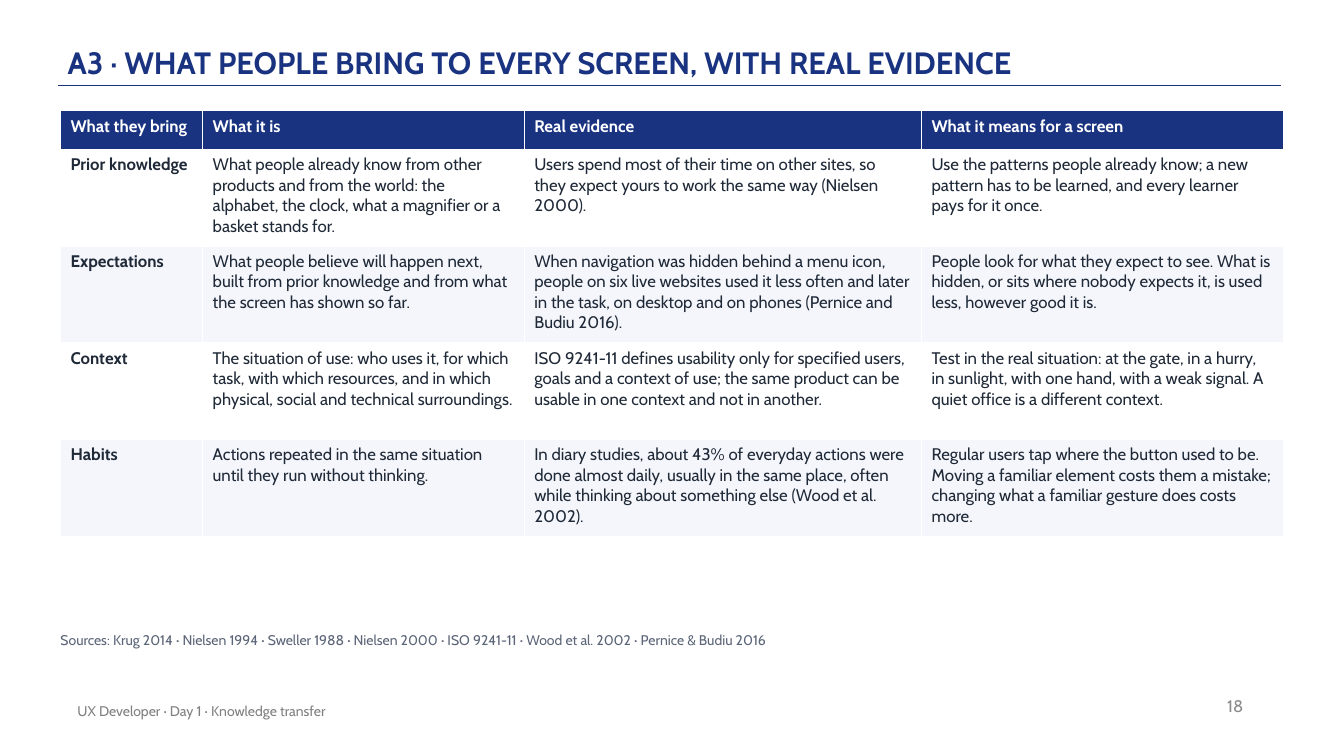
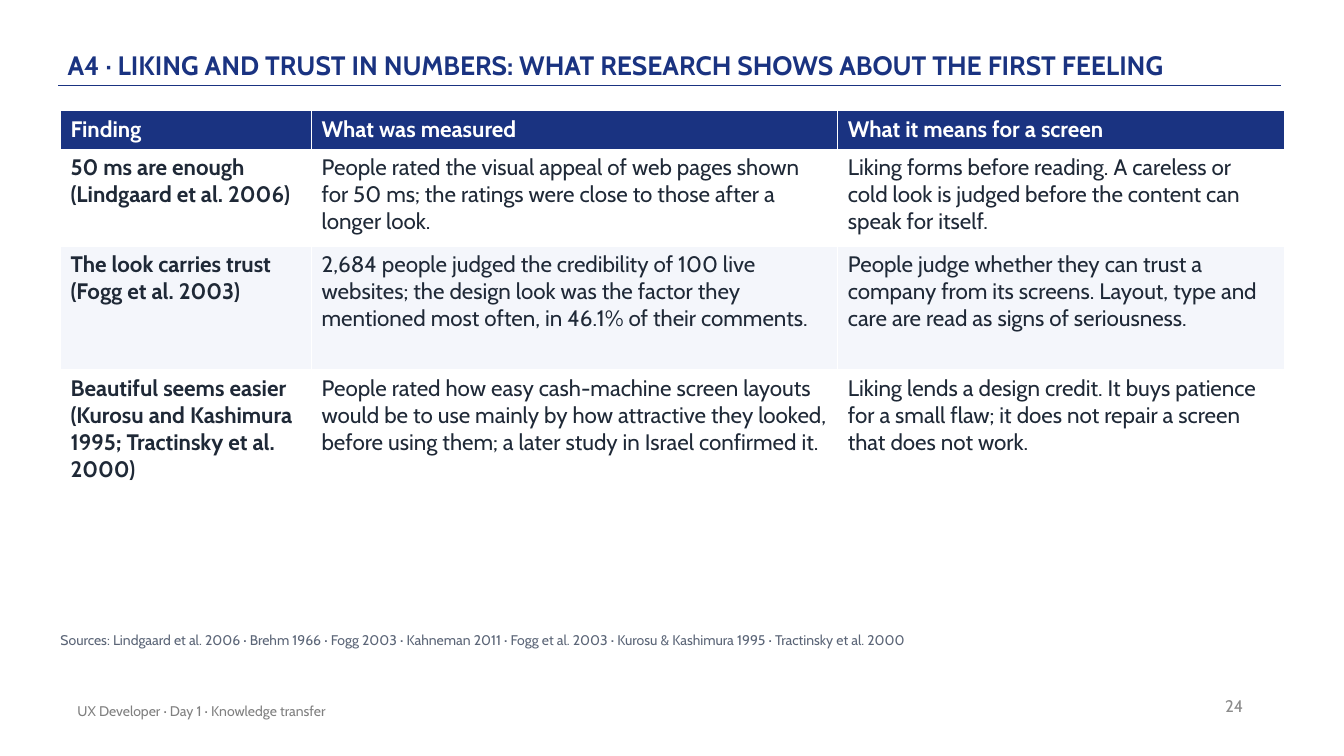
from dataclasses import dataclass

from lxml import etree
from pptx import Presentation
from pptx import util as u
from pptx.dml.color import RGBColor
from pptx.enum import shapes, text
from pptx.oxml import ns

# Shared look
FONT = "Cabin"
HUES = {
    "navy": "1A3381", "ink": "1F2937", "slate": "5B6577", "foot": "808080",
    "page": "8C8C8C", "band": "F4F6FB", "white": "FFFFFF",
}
FOOT = "UX Developer · Day 1 · Knowledge transfer"

# Grid: ten columns and ten rows to the inch
UNIT = u.Inches(0.1)
WIDE, HIGH = 133.3, 75


@dataclass(frozen=True)
class Box:
    left: float
    top: float
    width: float
    height: float

    def emu(self) -> list[int]:
        return [grid(n) for n in (self.left, self.top, self.width, self.height)]


@dataclass(frozen=True)
class Page:
    title: str
    size: int           # title size in points
    num: int
    cell: int           # table text size in points
    cols: list[float]
    rows: list[float]
    data: list[list[str]]
    refs: str


TITLE = Box(6.7, 1.2, 110, 7.2)
NUM = Box(94.3, 68, 30, 4)
FOOTER = Box(6.7, 68.5, 67, 4)
REFS = Box(6, 62.7, 121, 3)
TABLE = (6, 11)
RULE = (5.8, 127.1, 8.5)

PAGES = [
    Page(
        "A3 · WHAT PEOPLE BRING TO EVERY SCREEN, WITH REAL EVIDENCE", 22, 18,
        12, [14.1, 31.9, 39.4, 35.9], [3.8] + [9.6] * 4,
        [
            ["What they bring", "What it is", "Real evidence",
             "What it means for a screen"],
            ["Prior knowledge",
             "What people already know from other products and from the world: "
             "the alphabet, the clock, what a magnifier or a basket stands for.",
             "Users spend most of their time on other sites, so they expect "
             "yours to work the same way (Nielsen 2000).",
             "Use the patterns people already know; a new pattern has to be "
             "learned, and every learner pays for it once."],
            ["Expectations",
             "What people believe will happen next, built from prior knowledge "
             "and from what the screen has shown so far.",
             "When navigation was hidden behind a menu icon, people on six live "
             "websites used it less often and later in the task, on desktop and "
             "on phones (Pernice and Budiu 2016).",
             "People look for what they expect to see. What is hidden, or sits "
             "where nobody expects it, is used less, however good it is."],
            ["Context",
             "The situation of use: who uses it, for which task, with which "
             "resources, and in which physical, social and technical "
             "surroundings.",
             "ISO 9241-11 defines usability only for specified users, goals and "
             "a context of use; the same product can be usable in one context "
             "and not in another.",
             "Test in the real situation: at the gate, in a hurry, in sunlight, "
             "with one hand, with a weak signal. A quiet office is a different "
             "context."],
            ["Habits",
             "Actions repeated in the same situation until they run without "
             "thinking.",
             "In diary studies, about 43% of everyday actions were done almost "
             "daily, usually in the same place, often while thinking about "
             "something else (Wood et al. 2002).",
             "Regular users tap where the button used to be. Moving a familiar "
             "element costs them a mistake; changing what a familiar gesture "
             "does costs more."],
        ],
        "Sources: Krug 2014 · Nielsen 1994 · Sweller 1988 · Nielsen 2000 · "
        "ISO 9241-11 · Wood et al. 2002 · Pernice & Budiu 2016",
    ),
    Page(
        "A4 · LIKING AND TRUST IN NUMBERS: WHAT RESEARCH SHOWS ABOUT THE FIRST "
        "FEELING", 19, 24,
        16, [24.9, 52.2, 44.3], [3.8, 9.6, 12.3, 12.3],
        [
            ["Finding", "What was measured", "What it means for a screen"],
            ["50 ms are enough (Lindgaard et al. 2006)",
             "People rated the visual appeal of web pages shown for 50 ms; the "
             "ratings were close to those after a longer look.",
             "Liking forms before reading. A careless or cold look is judged "
             "before the content can speak for itself."],
            ["The look carries trust (Fogg et al. 2003)",
             "2,684 people judged the credibility of 100 live websites; the "
             "design look was the factor they mentioned most often, in 46.1% of "
             "their comments.",
             "People judge whether they can trust a company from its screens. "
             "Layout, type and care are read as signs of seriousness."],
            ["Beautiful seems easier (Kurosu and Kashimura 1995; Tractinsky et "
             "al. 2000)",
             "People rated how easy cash-machine screen layouts would be to use "
             "mainly by how attractive they looked, before using them; a later "
             "study in Israel confirmed it.",
             "Liking lends a design credit. It buys patience for a small flaw; "
             "it does not repair a screen that does not work."],
        ],
        "Sources: Lindgaard et al. 2006 · Brehm 1966 · Fogg 2003 · Kahneman "
        "2011 · Fogg et al. 2003 · Kurosu & Kashimura 1995 · Tractinsky et al. "
        "2000",
    ),
]


# Helpers
def grid(n: float) -> int:
    return round(n * UNIT)


def hue(name: str) -> RGBColor:
    return RGBColor.from_string(HUES[name])


def style(para, size: int, tone: str, bold: bool = False) -> None:
    font = para.font
    font.name, font.size, font.bold = FONT, u.Pt(size), bold
    font.color.rgb = hue(tone)


def label(slide, box: Box, words: str, size: int, tone: str):
    frame = slide.shapes.add_textbox(*box.emu()).text_frame
    frame.word_wrap = True
    frame.vertical_anchor = text.MSO_ANCHOR.MIDDLE
    frame.text = words
    style(frame.paragraphs[0], size, tone)
    return frame


# Parts of a slide
def head(slide, page: Page) -> None:
    shape = slide.shapes.title
    shape.left, shape.top, shape.width, shape.height = TITLE.emu()
    frame = shape.text_frame
    frame.text = page.title
    frame.word_wrap = True
    frame.auto_size = text.MSO_AUTO_SIZE.NONE
    frame.vertical_anchor = text.MSO_ANCHOR.BOTTOM
    frame.margin_left = frame.margin_right = 0
    frame.margin_top = frame.margin_bottom = u.Inches(0.03)
    para = frame.paragraphs[0]
    para.alignment = text.PP_ALIGN.LEFT
    para.line_spacing = 0.9
    style(para, page.size, "navy", True)


def rule(slide) -> None:
    left, right, top = (grid(n) for n in RULE)
    line = slide.shapes.add_connector(
        shapes.MSO_CONNECTOR.STRAIGHT, left, top, right, top)
    line.line.color.rgb = hue("navy")
    line.line.width = u.Pt(1)
    etree.SubElement(line._element.spPr, ns.qn("a:effectLst"))


def table(slide, page: Page) -> None:
    box = Box(*TABLE, sum(page.cols), sum(page.rows))
    tab = slide.shapes.add_table(
        len(page.rows), len(page.cols), *box.emu()).table
    for col, width in zip(tab.columns, page.cols):
        col.width = grid(width)
    for r, (row, height) in enumerate(zip(tab.rows, page.rows)):
        row.height = grid(height)
        fill = "navy" if r == 0 else "white" if r % 2 else "band"
        for c, cell in enumerate(row.cells):
            cell.text = page.data[r][c]
            cell.fill.solid()
            cell.fill.fore_color.rgb = hue(fill)
            style(cell.text_frame.paragraphs[0], page.cell,
                  "ink" if r else "white", r == 0 or c == 0)


def foot(slide, page: Page) -> None:
    num = label(slide, NUM, str(page.num), 12, "page")
    num.paragraphs[0].alignment = text.PP_ALIGN.RIGHT
    label(slide, FOOTER, FOOT, 10, "foot")


def refs(slide, page: Page) -> None:
    frame = label(slide, REFS, page.refs, 10, "slate")
    frame.vertical_anchor = text.MSO_ANCHOR.TOP
    frame.margin_left = frame.margin_right = 0
    frame.margin_top = frame.margin_bottom = 0
    frame.paragraphs[0].space_after = u.Pt(6)


def main() -> None:
    deck = Presentation()
    deck.slide_width, deck.slide_height = grid(WIDE), grid(HIGH)
    plain = deck.slide_layouts.get_by_name("Title Only")
    for page in PAGES:
        slide = deck.slides.add_slide(plain)
        rule(slide)
        head(slide, page)
        foot(slide, page)
        table(slide, page)
        refs(slide, page)
    deck.save("out.pptx")


if __name__ == "__main__":
    main()
